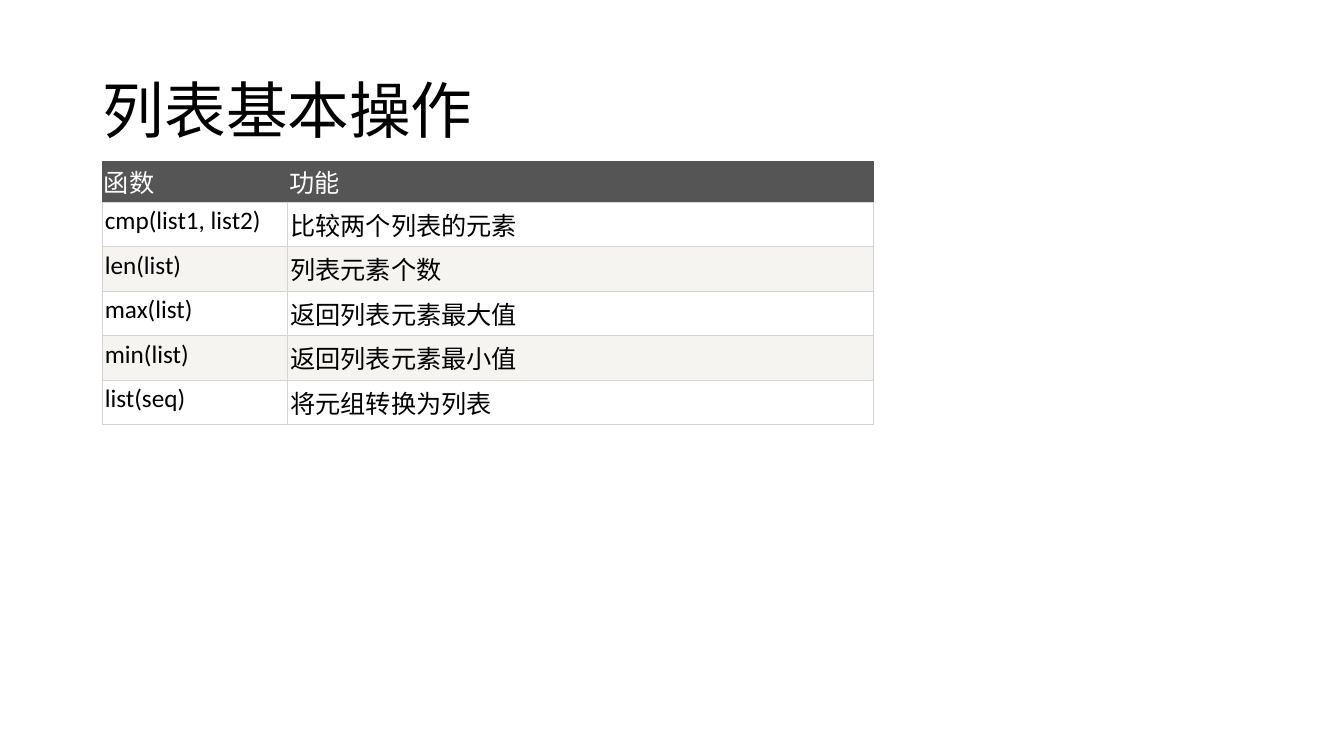
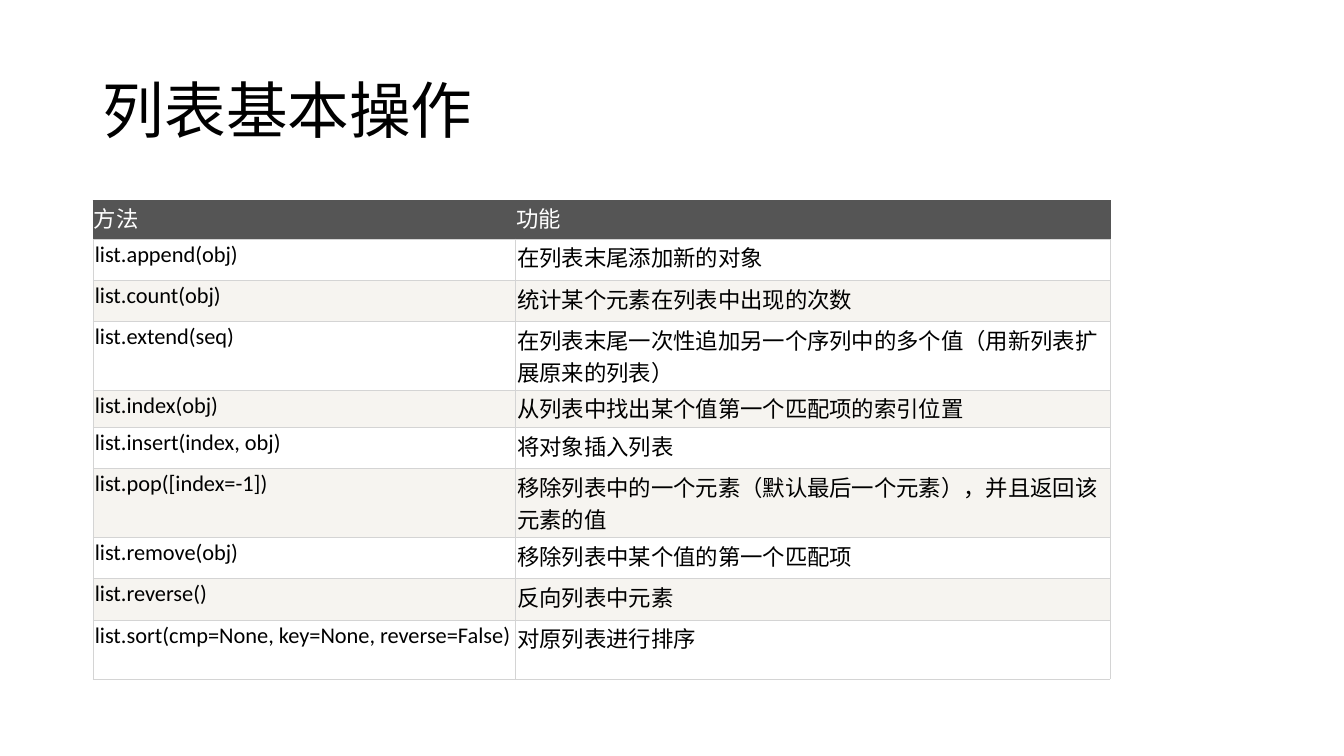
import pptx
import pptx.util
import pptx.dml.color
import pptx.enum.text
import pptx.oxml.ns
import lxml.etree

Inches = pptx.util.Inches
Pt = pptx.util.Pt


def rgb(value):
    return pptx.dml.color.RGBColor.from_string(value)


class Deck:
    FONT = "Calibri"
    TEXT = "000000"
    HEADER_TEXT = "FFFFFF"
    HEADER_FILL = "555555"
    ROW_FILLS = ("FFFFFF", "F6F4F0")
    GRID = "D4D4D4"
    GRID_WIDTH = 0.38

    def __init__(self):
        self.prs = pptx.Presentation()
        self.prs.slide_width = Inches(13.33)
        self.prs.slide_height = Inches(7.5)
        self.s = None

    def style(self, p, size, color):
        for r in p.runs:
            r.font.name = self.FONT
            r.font.size = Pt(size)
            r.font.color.rgb = rgb(color)

    def add_slide(self, title):
        self.s = self.prs.slides.add_slide(self.prs.slide_layouts[5])
        sp = self.s.shapes.title
        sp.left, sp.top = Inches(0.92), Inches(0.4)
        sp.width, sp.height = Inches(11.5), Inches(1.45)
        tf = sp.text_frame
        tf.text = title
        tf.vertical_anchor = pptx.enum.text.MSO_ANCHOR.MIDDLE
        p = tf.paragraphs[0]
        p.alignment = pptx.enum.text.PP_ALIGN.LEFT
        p.line_spacing = 0.9
        self.style(p, 44, self.TEXT)

    def add_borders(self, cell, header):
        qn = pptx.oxml.ns.qn
        tc_pr = cell._tc.get_or_add_tcPr()
        for side in ("L", "R", "T", "B"):
            color = self.HEADER_FILL if header and side != "B" else self.GRID
            ln = lxml.etree.SubElement(
                tc_pr, qn(f"a:ln{side}"), w=str(Pt(self.GRID_WIDTH)))
            fill = lxml.etree.SubElement(ln, qn("a:solidFill"))
            lxml.etree.SubElement(fill, qn("a:srgbClr"), val=color)

    def add_cell(self, cell, text, size, row, margins):
        header = row == 0
        mx, my = margins
        cell.margin_left = cell.margin_right = Inches(mx)
        cell.margin_top = cell.margin_bottom = Inches(my)
        self.add_borders(cell, header)
        cell.fill.solid()
        cell.fill.fore_color.rgb = rgb(
            self.HEADER_FILL if header else self.ROW_FILLS[(row - 1) % 2])
        cell.text_frame.text = text
        self.style(cell.text_frame.paragraphs[0], size,
                   self.HEADER_TEXT if header else self.TEXT)

    def add_table(self, left, top, widths, heights, rows, size,
                  header_margins, body_margins):
        table = self.s.shapes.add_table(
            len(rows), len(widths), Inches(left), Inches(top),
            Inches(sum(widths)), Inches(sum(heights))).table
        table.first_row = table.horz_banding = False
        for column, width in zip(table.columns, widths):
            column.width = Inches(width)
        for i, (texts, height) in enumerate(zip(rows, heights)):
            table.rows[i].height = Inches(height)
            margins = body_margins if i else header_margins
            for j, text in enumerate(texts):
                self.add_cell(table.cell(i, j), text, size, i, margins)


FUNCTIONS = [
    ("函数", "功能"),
    ("cmp(list1, list2)", "比较两个列表的元素"),
    ("len(list)", "列表元素个数"),
    ("max(list)", "返回列表元素最大值"),
    ("min(list)", "返回列表元素最小值"),
    ("list(seq)", "将元组转换为列表"),
]

METHODS = [
    ("方法", "功能"),
    ("list.append(obj)", "在列表末尾添加新的对象"),
    ("list.count(obj)", "统计某个元素在列表中出现的次数"),
    ("list.extend(seq)",
     "在列表末尾一次性追加另一个序列中的多个值（用新列表扩展原来的列表）"),
    ("list.index(obj)", "从列表中找出某个值第一个匹配项的索引位置"),
    ("list.insert(index, obj)", "将对象插入列表"),
    ("list.pop([index=-1])",
     "移除列表中的一个元素（默认最后一个元素），并且返回该元素的值"),
    ("list.remove(obj)", "移除列表中某个值的第一个匹配项"),
    ("list.reverse()", "反向列表中元素"),
    ("list.sort(cmp=None, key=None, reverse=False)", "对原列表进行排序"),
]


def main():
    deck = Deck()
    title = "列表基本操作"

    # Built-in functions
    deck.add_slide(title)
    deck.add_table(1.01, 1.6, (1.84, 5.81), [0.4] + [0.43] * 5, FUNCTIONS, 18,
                   header_margins=(0.02, 0.02), body_margins=(0.03, 0.04))

    # List methods
    deck.add_slide(title)
    heights = [0.38, 0.41, 0.41, 0.59, 0.37, 0.41, 0.59, 0.41, 0.41, 0.59]
    deck.add_table(0.92, 1.99, (4.19, 5.9), heights, METHODS, 16,
                   header_margins=(0.01, 0.01), body_margins=(0.02, 0.02))

    deck.prs.save("out.pptx")


if __name__ == "__main__":
    main()
